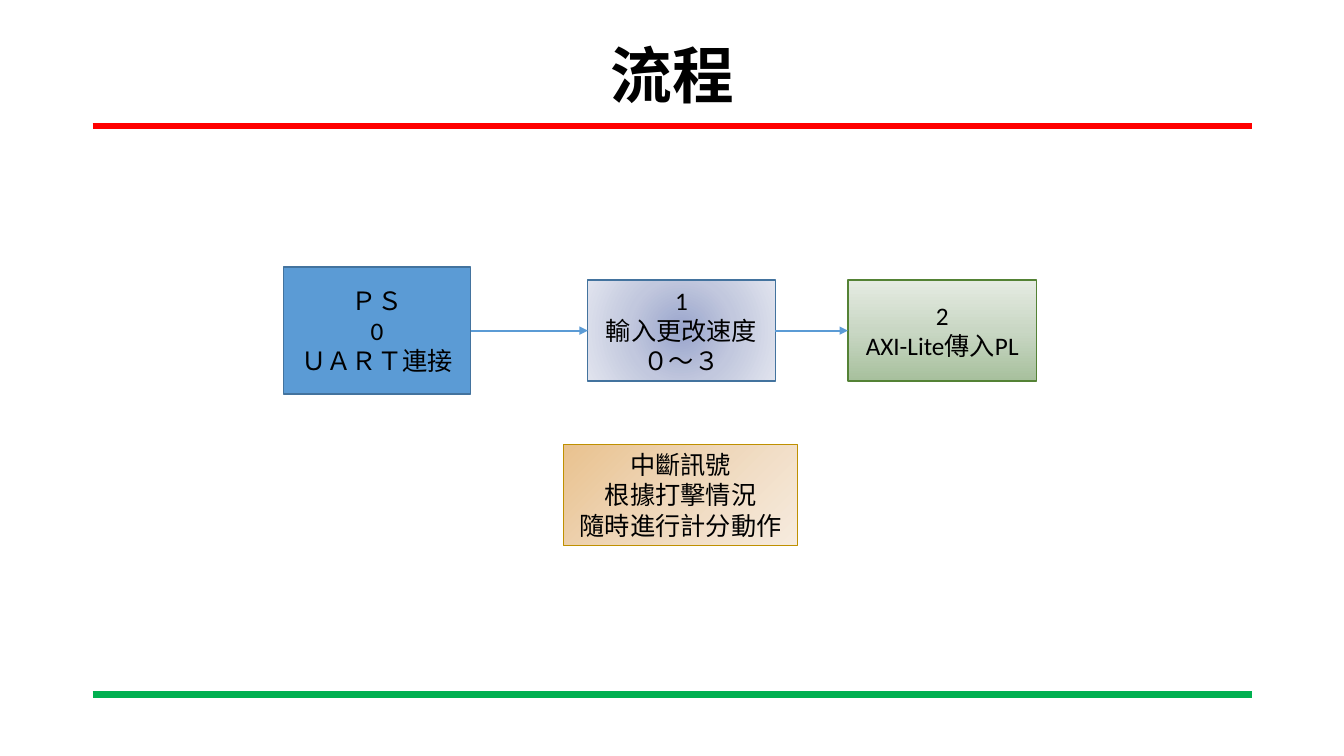
"""Build the flow slide: three linked steps and an interrupt note between two rules."""
from dataclasses import dataclass
from typing import Any, Optional

from lxml.etree import SubElement
from pptx import Presentation
from pptx.dml.color import RGBColor
from pptx.enum.shapes import MSO_CONNECTOR as Link, MSO_SHAPE as Preset
from pptx.enum.text import MSO_ANCHOR as Anchor, PP_ALIGN as Align
from pptx.oxml.ns import qn
from pptx.util import Inches, Pt

COLORS = {
    "black": "000000", "red": "FF0000", "green": "00B050", "blue": "5B9BD5",
    "blue_edge": "43739E", "green_edge": "548235", "gold_edge": "BF9000",
}
RIGHT_SIDE, LEFT_SIDE = 3, 1
RULE_LEFT, RULE_RIGHT = 0.92, 12.42
TITLE_FORMAT = {"name": "Times New Roman", "size": Pt(44), "bold": True}
BOX_FORMAT = {"name": "Calibri", "size": Pt(18)}


@dataclass
class Gradient:
    stops: tuple[str, str, str]
    focus: Optional[tuple[int, int, int, int]] = None
    angle: int = 0


@dataclass
class FlowBox:
    left: float
    top: float
    width: float
    height: float
    edge: str
    lines: tuple[str, ...]
    gradient: Optional[Gradient] = None


@dataclass
class Rule:
    y: float
    color: str


RULES = (Rule(1.25, "red"), Rule(6.89, "green"))
STEPS = (
    FlowBox(2.81, 2.65, 1.86, 1.26, "blue_edge", ("ＰＳ", "0", "ＵＡＲＴ連接")),
    FlowBox(5.83, 2.78, 1.86, 1, "blue_edge", ("1", "輸入更改速度０～３"),
            Gradient(("99A5CC", "C2C8DE", "E1E4EE"), focus=(50, 50, 50, 50))),
    FlowBox(8.41, 2.78, 1.87, 1, "green_edge", ("2", "AXI-Lite傳入PL"),
            Gradient(("A7C09D", "C9D7C4", "E5EBE2"), angle=270)),
)
INTERRUPT = FlowBox(
    5.59, 4.41, 2.32, 1, "gold_edge", ("中斷訊號", "根據打擊情況", "隨時進行計分動作"),
    Gradient(("E9C28F", "EFD8BC", "F6EBDE"), focus=(0, 0, 100, 100)))


def rgb(name: str) -> RGBColor:
    return RGBColor.from_string(COLORS[name])


def write_lines(shape: Any, lines: tuple[str, ...], formats: dict[str, Any]) -> None:
    frame = shape.text_frame
    frame.word_wrap = True
    for index, text in enumerate(lines):
        para = frame.paragraphs[0] if index == 0 else frame.add_paragraph()
        para.alignment = Align.CENTER
        span = para.add_run()
        span.text = text
        span.font.color.rgb = rgb("black")
        for attribute, value in formats.items():
            setattr(span.font, attribute, value)


def fill_gradient(shape: Any, gradient: Gradient) -> None:
    shape.fill.gradient()
    node = shape._element.spPr.find(qn("a:gradFill"))
    for child in list(node):
        node.remove(child)
    stop_list = SubElement(node, qn("a:gsLst"))
    for position, color in zip((0, 50000, 100000), gradient.stops):
        stop = SubElement(stop_list, qn("a:gs"), pos=str(position))
        SubElement(stop, qn("a:srgbClr"), val=color)
    if gradient.focus is None:
        SubElement(node, qn("a:lin"), ang=str(gradient.angle * 60000), scaled="0")
    else:
        circle = SubElement(node, qn("a:path"), path="circle")
        edges = {side: str(share * 1000) for side, share in zip("ltrb", gradient.focus)}
        SubElement(circle, qn("a:fillToRect"), **edges)


def draw_box(page: Any, box: FlowBox) -> Any:
    bounds = (Inches(value) for value in (box.left, box.top, box.width, box.height))
    shape = page.shapes.add_shape(Preset.RECTANGLE, *bounds)
    shape.shadow.inherit = False
    if box.gradient is None:
        shape.fill.solid()
        shape.fill.fore_color.rgb = rgb("blue")
    else:
        fill_gradient(shape, box.gradient)
    shape.line.color.rgb = rgb(box.edge)
    shape.line.width = Pt(1)
    shape.text_frame.vertical_anchor = Anchor.MIDDLE
    write_lines(shape, box.lines, BOX_FORMAT)
    return shape


def draw_line(page: Any, y: float, color: str, width: float) -> Any:
    line = page.shapes.add_connector(
        Link.STRAIGHT, Inches(RULE_LEFT), Inches(y), Inches(RULE_RIGHT), Inches(y))
    line.line.color.rgb = rgb(color)
    line.line.width = Pt(width)
    SubElement(line._element.spPr, qn("a:effectLst"))
    return line


def draw_arrow(page: Any, source: Any, target: Any) -> None:
    arrow = draw_line(page, 3.28, "blue", 1.5)
    arrow.begin_connect(source, RIGHT_SIDE)
    arrow.end_connect(target, LEFT_SIDE)
    SubElement(arrow.line._get_or_add_ln(), qn("a:tailEnd"), type="triangle")


def draw_title(page: Any, text: str) -> None:
    box = page.shapes.add_textbox(
        Inches(RULE_LEFT), Inches(0.4), Inches(RULE_RIGHT - RULE_LEFT), Inches(0.79))
    write_lines(box, (text,), TITLE_FORMAT)
    box.text_frame.paragraphs[0].line_spacing = 0.9


def main() -> None:
    deck = Presentation()
    deck.slide_width, deck.slide_height = Inches(13.33), Inches(7.5)
    page = deck.slides.add_slide(deck.slide_layouts[6])
    for rule in RULES:
        draw_line(page, rule.y, rule.color, 4.5)
    draw_title(page, "流程")
    steps = [draw_box(page, step) for step in STEPS]
    for source, target in zip(steps, steps[1:]):
        draw_arrow(page, source, target)
    draw_box(page, INTERRUPT)
    deck.save("out.pptx")


if __name__ == "__main__":
    main()
